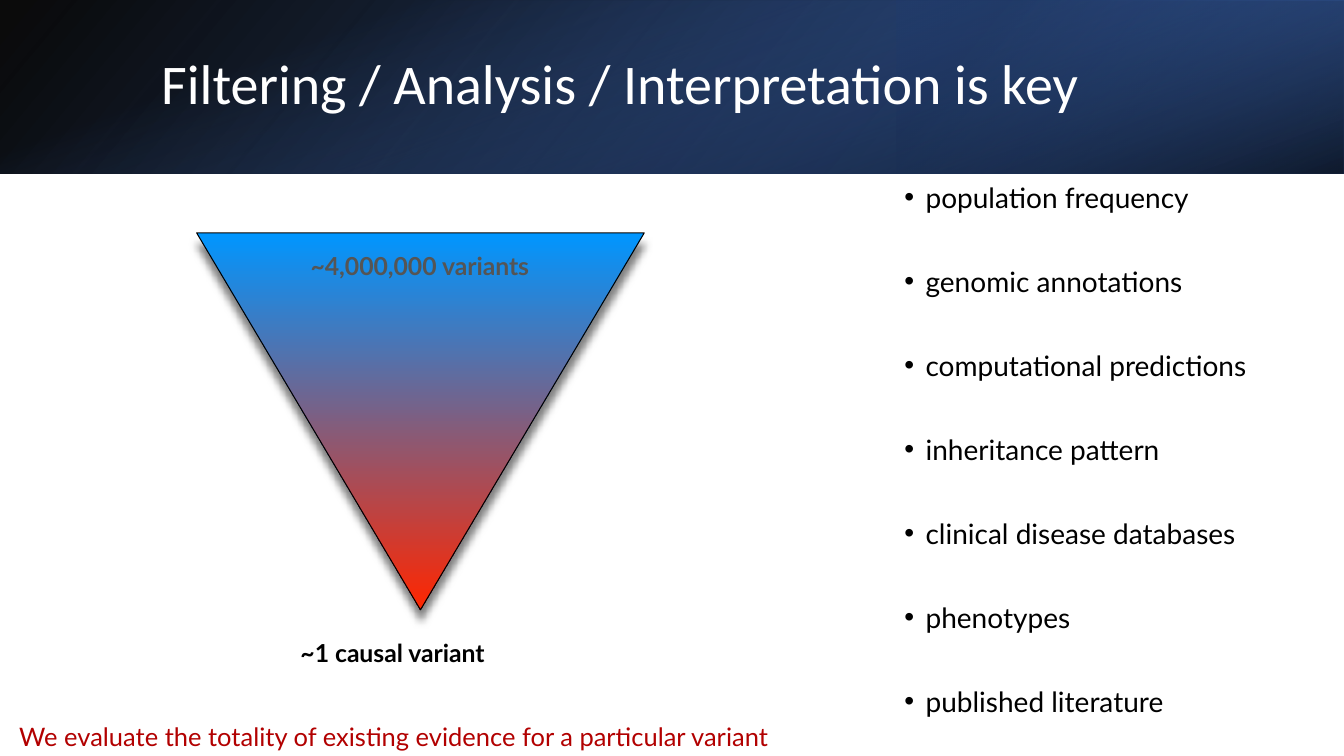
from pptx import Presentation, oxml
from pptx import util as u
from pptx.dml.color import RGBColor
from pptx.enum import shapes, text
from pptx.oxml import ns

PX = 9144  # 100 px to the inch
TOPICS = ["population frequency", "genomic annotations",
          "computational predictions", "inheritance pattern",
          "clinical disease databases", "phenotypes", "published literature"]


def px(length):
    return u.Emu(length * PX)


def color(value):
    return RGBColor.from_string(value)


def set_gradient(shape, stops, angle):
    """Stops are (position, colour, opacity), all but colour in percent."""
    marks = "".join(
        f'<a:gs pos="{pos * 1000}"><a:srgbClr val="{value}">'
        f'<a:alpha val="{opacity * 1000}"/></a:srgbClr></a:gs>'
        for pos, value, opacity in stops)
    gradient = oxml.parse_xml(
        f'<a:gradFill rotWithShape="1" {ns.nsdecls("a")}><a:gsLst>{marks}'
        f'</a:gsLst><a:lin ang="{angle * 60000}" scaled="0"/></a:gradFill>')
    shape.fill.background()
    props = shape._element.spPr
    props.replace(props.find(ns.qn("a:noFill")), gradient)


def add_band(page, place, stops, angle, rotation=0, flip=False):
    band = page.shapes.add_shape(shapes.MSO_SHAPE.RECTANGLE, *map(px, place))
    band.shadow.inherit = False
    band.line.fill.background()
    band.rotation = rotation
    if flip:
        band._element.spPr.xfrm.set("flipH", "1")
    set_gradient(band, stops, angle)


def add_funnel(page, left, top, width, height):
    # Drawn apex up, then turned upside down
    outline = page.shapes.build_freeform(
        px(left + width // 2), px(top), scale=1.0)
    outline.add_line_segments([(px(left), px(top + height)),
                               (px(left + width), px(top + height))])
    funnel = outline.convert_to_shape()
    funnel.rotation = 180
    set_gradient(funnel, [(0, "0096FF", 100), (100, "FF2600", 100)], 270)
    funnel.line.color.rgb = color("000000")
    funnel.line.width = u.Pt(0.75)
    funnel.shadow.inherit = False
    effects = funnel._element.spPr.find(ns.qn("a:effectLst"))
    effects.append(oxml.parse_xml(
        f'<a:outerShdw {ns.nsdecls("a")} blurRad="{u.Pt(6)}" '
        f'dist="{u.Pt(8)}" dir="5400000" rotWithShape="0">'
        '<a:srgbClr val="000000"><a:alpha val="50000"/></a:srgbClr>'
        '</a:outerShdw>'))


def add_box(page, place, insets=(4, 4, 4, 4)):
    frame = page.shapes.add_textbox(*map(px, place)).text_frame
    frame.word_wrap = True
    frame.vertical_anchor = text.MSO_ANCHOR.MIDDLE
    (frame.margin_left, frame.margin_top,
     frame.margin_right, frame.margin_bottom) = map(px, insets)
    return frame


def add_span(para, words, size, value, font="Lato", bold=False):
    span = para.add_run()
    span.text = words
    span.font.size = u.Pt(size)
    span.font.name = font
    span.font.bold = bold
    span.font.color.rgb = color(value)


def add_label(page, place, words, size, value, bold=False):
    para = add_box(page, place).paragraphs[0]
    add_span(para, words, size, value, bold=bold)
    return para


def add_bullets(page, place, items):
    frame = add_box(page, place, (4, 4, 4, 46))
    for index, item in enumerate(items):
        para = frame.add_paragraph() if index else frame.paragraphs[0]
        props = para._p.get_or_add_pPr()
        props.set("marL", str(px(21)))
        props.set("indent", str(px(-21)))
        for tag in ('<a:buClr {}><a:srgbClr val="000000"/></a:buClr>',
                    '<a:buFont {} typeface="Arial"/>',
                    '<a:buChar {} char="•"/>'):
            props.append(oxml.parse_xml(tag.format(ns.nsdecls("a"))))
        if index:
            para.space_before = u.Pt(36)
        add_span(para, item, 20, "000000")


def main():
    deck = Presentation()
    deck.slide_width, deck.slide_height = px(1333), px(750)
    page = deck.slides.add_slide(deck.slide_layouts[6])

    # Header: three layered gradients
    add_band(page, (0, 0, 1333, 172),
             [(0, "000000", 96), (100, "2F5496", 100)], 140, flip=True)
    add_band(page, (889, 0, 444, 172),
             [(0, "1F3864", 68), (19, "1F3864", 68), (100, "4472C4", 79)],
             320, rotation=180, flip=True)
    add_band(page, (580, -580, 172, 1333),
             [(0, "4472C4", 0), (23, "4472C4", 0),
              (99, "000000", 74), (100, "000000", 74)], 340, rotation=90)
    title = add_box(page, (150, 38, 1098, 96), (10, 5, 10, 5)).paragraphs[0]
    title.line_spacing = 0.9
    add_span(title, "Filtering / Analysis / Interpretation is key",
             40, "FFFFFF", "Calibri")

    # Funnel and evidence list
    add_funnel(page, 195, 231, 444, 374)
    add_bullets(page, (893, 172, 358, 589), TOPICS)
    add_label(page, (304, 244, 239, 38), "~4,000,000 variants",
              17.7, "555555", bold=True)
    add_label(page, (294, 614, 202, 67), "~1 causal variant",
              17.7, "000000", bold=True)

    # Conclusion
    closing = add_label(
        page, (11, 711, 871, 39),
        "We evaluate the totality of existing evidence for a particular variant",
        18.2, "B20000")
    closing._p.get_or_add_pPr().set("marL", str(px(4)))

    deck.save("out.pptx")


if __name__ == "__main__":
    main()
